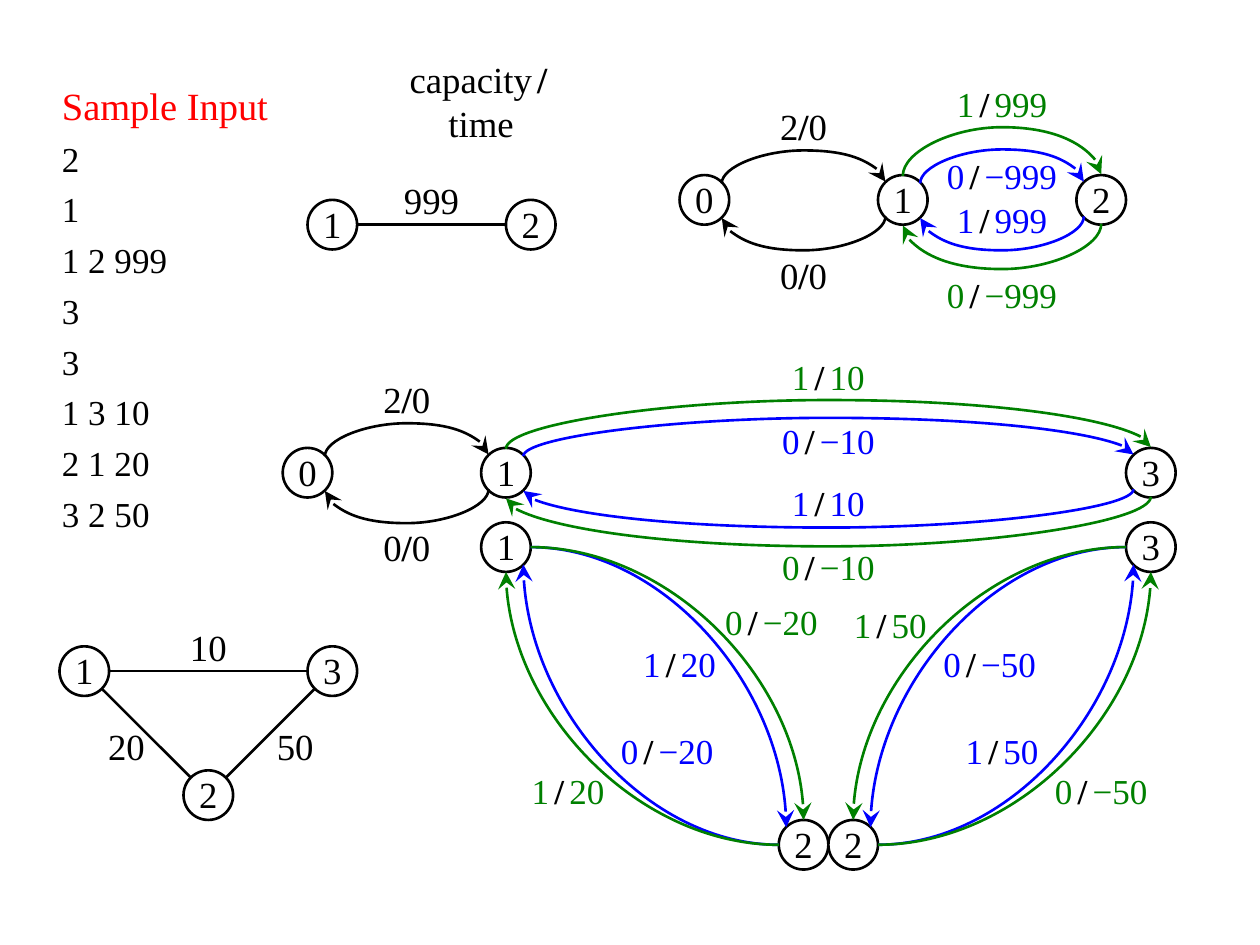
import math

from lxml import etree
from pptx import Presentation
from pptx import util as u
from pptx.dml.color import RGBColor
from pptx.enum import shapes, text
from pptx.oxml.ns import qn

THEME = {
    "font": "Times New Roman",
    "black": RGBColor(0, 0, 0),
    "white": RGBColor(255, 255, 255),
    "red": RGBColor(255, 0, 0),
    "blue": RGBColor(0, 0, 255),
    "green": RGBColor(0, 128, 0),
    "heading": 22,
    "body": 20,
    "graph": 21,
    "line": 1.5,
    "spacing": 3,
}
ORIGIN_X, ORIGIN_Y = 0.2, 0.03
RADIUS = 0.5
FLAT = u.Pt(1)

SAMPLE_INPUT = ["Sample Input", "2", "1", "1 2 999", "3", "3", "1 3 10", "2 1 20", "3 2 50"]

NODES = {
    "pair 1": (6.5, 4.5), "pair 2": (10.5, 4.5),
    "first 0": (14, 4), "first 1": (18, 4), "first 2": (22, 4),
    "second 0": (6, 9.5), "second 1": (10, 9.5), "second 3": (23, 9.5),
    "left 1": (10, 11), "left 2": (16, 17),
    "right 3": (23, 11), "right 2": (17, 17),
    "triangle 1": (1.5, 13.5), "triangle 2": (4, 16), "triangle 3": (6.5, 13.5),
}

TOP, TOP_LEFT, LEFT, BOTTOM_LEFT, BOTTOM, BOTTOM_RIGHT, RIGHT, TOP_RIGHT = range(8)

STRAIGHT_EDGES = [
    ("pair 1", RIGHT, "pair 2", LEFT),
    ("triangle 1", RIGHT, "triangle 3", LEFT),
    ("triangle 3", BOTTOM_LEFT, "triangle 2", TOP_RIGHT),
    ("triangle 1", BOTTOM_RIGHT, "triangle 2", TOP_LEFT),
]

ARC_PAIRS = [
    ("first 0", "first 1", "black", 0.67, 0.69),
    ("first 1", "first 2", "blue", 0.69, 0.69),
    ("first 1", "first 2", "green", 0.99, 0.92),
    ("second 0", "second 1", "black", 0.67, 0.69),
    ("second 1", "second 3", "blue", 0.78, 0.78),
    ("second 1", "second 3", "green", 0.99, 1.01),
]

QUARTER_EDGES = [
    ("left 1", RIGHT, "left 2", TOP_LEFT, "blue", "tailEnd"),
    ("left 1", RIGHT, "left 2", TOP, "green", "tailEnd"),
    ("left 2", LEFT, "left 1", BOTTOM_RIGHT, "blue", "tailEnd"),
    ("left 2", LEFT, "left 1", BOTTOM, "green", "tailEnd"),
    ("right 2", TOP_RIGHT, "right 3", LEFT, "blue", "headEnd"),
    ("right 2", TOP, "right 3", LEFT, "green", "headEnd"),
    ("right 3", BOTTOM_LEFT, "right 2", RIGHT, "blue", "headEnd"),
    ("right 3", BOTTOM, "right 2", RIGHT, "green", "headEnd"),
]

PLAIN_LABELS = [
    ("999", 8.5, 4), ("2/0", 16, 2.5), ("0/0", 16, 5.5), ("2/0", 8, 8), ("0/0", 8, 11),
    ("20", 2.35, 15), ("10", 4, 13), ("50", 5.75, 15),
]

COST_LABELS = [
    ("1/999", 20, 4.4, "blue"), ("0/−999", 20, 3.5, "blue"),
    ("0/−999", 20, 5.9, "green"), ("1/999", 20, 2.05, "green"),
    ("1/10", 16.5, 10.1, "blue"), ("0/−10", 16.5, 8.85, "blue"),
    ("0/−10", 16.5, 11.4, "green"), ("1/10", 16.5, 7.55, "green"),
    ("0/−20", 13.25, 15.1, "blue"), ("1/20", 13.5, 13.35, "blue"),
    ("1/20", 11.25, 15.9, "green"), ("0/−20", 15.35, 12.5, "green"),
    ("1/50", 20, 15.1, "blue"), ("0/−50", 19.75, 13.35, "blue"),
    ("0/−50", 22, 15.9, "green"), ("1/50", 17.75, 12.55, "green"),
]


def write(paragraph, words, *, size, color="black", bold=False, spacing=0):
    run = paragraph.add_run()
    run.text = words
    run.font.name = THEME["font"]
    run.font.size = u.Pt(size)
    run.font.bold = bold
    run.font.color.rgb = THEME[color]
    if spacing:
        run.font._element.set("spc", str(spacing * 100))


def set_frame(frame, left=0, top=0, bottom=0):
    frame.margin_left, frame.margin_right = u.Cm(left), u.Cm(left)
    frame.margin_top, frame.margin_bottom = u.Cm(top), u.Cm(bottom)


def add_node(slide, name):
    x, y = NODES[name]
    node = slide.shapes.add_shape(
        shapes.MSO_SHAPE.OVAL, u.Cm(x - RADIUS + ORIGIN_X), u.Cm(y - RADIUS + ORIGIN_Y),
        u.Cm(2 * RADIUS), u.Cm(2 * RADIUS))
    node.shadow.inherit = False
    node.fill.solid()
    node.fill.fore_color.rgb = THEME["white"]
    node.line.color.rgb = THEME["black"]
    node.line.width = u.Pt(THEME["line"])
    set_frame(node.text_frame, bottom=0.05)
    node.text_frame.word_wrap = False
    node.text_frame.vertical_anchor = text.MSO_ANCHOR.MIDDLE
    paragraph = node.text_frame.paragraphs[0]
    paragraph.alignment = text.PP_ALIGN.CENTER
    write(paragraph, name.split()[1], size=THEME["graph"])
    return node


def site_point(name, site):
    x, y = NODES[name]
    angle = math.radians(90 + 45 * site)
    return (u.Cm(round(x + ORIGIN_X + RADIUS * math.cos(angle), 2)),
            u.Cm(round(y + ORIGIN_Y - RADIUS * math.sin(angle), 2)))


def add_edge(slide, nodes, start, start_site, end, end_site, color="black", arrow=None,
             kind=shapes.MSO_CONNECTOR.STRAIGHT):
    edge = slide.shapes.add_connector(
        kind, *site_point(start, start_site), *site_point(end, end_site))
    edge.line.color.rgb = THEME[color]
    edge.line.width = u.Pt(THEME["line"])
    properties = edge._element.spPr
    if arrow:
        etree.SubElement(properties.find(qn("a:ln")), qn("a:" + arrow),
                         type="stealth", w="lg", len="lg")
    etree.SubElement(properties, qn("a:effectLst"))
    links = edge._element.find(".//" + qn("p:cNvCxnSpPr"))
    for tag, name, site in (("a:stCxn", start, start_site), ("a:endCxn", end, end_site)):
        etree.SubElement(links, qn(tag), id=str(nodes[name].shape_id), idx=str(site))
    return edge


def bend(edge, preset, vertical, bulge=None):
    rightward = edge.end_x > edge.begin_x
    width, height = edge.width, edge.height
    center_x, center_y = edge.left + width // 2, edge.top + height // 2
    if vertical:
        width, height = max(height, FLAT), width
    edge.left, edge.top = center_x - width // 2, center_y - height // 2
    edge.width, edge.height = width, height
    properties = edge._element.spPr
    transform = properties.find(qn("a:xfrm"))
    for flip in ("flipH", "flipV"):
        transform.attrib.pop(flip, None)
        if vertical and rightward:
            transform.set(flip, "1")
    if vertical or not rightward:
        transform.set("rot", str((90 if vertical else 180) * 60000))
    geometry = properties.find(qn("a:prstGeom"))
    geometry.set("prst", preset)
    if bulge:
        guides = geometry.find(qn("a:avLst"))
        if guides is None:
            guides = etree.SubElement(geometry, qn("a:avLst"))
        ratio = round(u.Cm(bulge) / FLAT * 100000)
        etree.SubElement(guides, qn("a:gd"), name="adj1", fmla=f"val {ratio}")


def add_label(slide, words, x, y, color="black", size=THEME["graph"], spacing=0):
    box = slide.shapes.add_textbox(
        u.Cm(x - 1.5 + ORIGIN_X), u.Cm(y - 0.5 + ORIGIN_Y), u.Cm(3), u.Cm(1))
    set_frame(box.text_frame)
    box.text_frame.word_wrap = False
    box.text_frame.vertical_anchor = text.MSO_ANCHOR.MIDDLE
    paragraph = box.text_frame.paragraphs[0]
    paragraph.alignment = text.PP_ALIGN.CENTER
    before, slash, after = words.partition("/")
    if before[:-1]:
        write(paragraph, before[:-1], size=size, color=color)
    write(paragraph, before[-1], size=size, color=color, spacing=spacing)
    if slash:
        write(paragraph, slash, size=size, bold=True, spacing=spacing)
        write(paragraph, after, size=size, color=color)


def add_sample(slide):
    box = slide.shapes.add_textbox(u.Cm(1.2), u.Cm(1.53), u.Cm(5), u.Cm(9.5))
    frame = box.text_frame
    set_frame(frame, left=0.05, top=0.13, bottom=0.13)
    frame.word_wrap = True
    for index, words in enumerate(SAMPLE_INPUT):
        paragraph = frame.add_paragraph() if index else frame.paragraphs[0]
        if index:
            paragraph.space_before = u.Pt(5)
        write(paragraph, words, size=THEME["body" if index else "heading"],
              color="black" if index else "red")


def main():
    presentation = Presentation()
    presentation.slide_width, presentation.slide_height = u.Cm(25.4), u.Cm(19.05)
    slide = presentation.slides.add_slide(presentation.slide_layouts[6])
    add_sample(slide)
    nodes = {name: add_node(slide, name) for name in NODES}
    for edge in STRAIGHT_EDGES:
        add_edge(slide, nodes, *edge)
    curve = shapes.MSO_CONNECTOR.CURVE
    for left, right, color, above, below in ARC_PAIRS:
        sites = (TOP, TOP, BOTTOM, BOTTOM) if color == "green" else (
            TOP_RIGHT, TOP_LEFT, BOTTOM_LEFT, BOTTOM_RIGHT)
        for start, end, (out, into), bulge in (
                (left, right, sites[:2], above), (right, left, sites[2:], below)):
            arc = add_edge(slide, nodes, start, out, end, into, color, "tailEnd", curve)
            bend(arc, "curvedConnector3", True, bulge)
    for edge in QUARTER_EDGES:
        quarter = add_edge(slide, nodes, *edge, curve)
        bend(quarter, "curvedConnector2", edge[1] not in (LEFT, RIGHT))
    add_label(slide, "capacity/time", 9.5, 2, spacing=THEME["spacing"])
    for label in PLAIN_LABELS:
        add_label(slide, *label)
    for label in COST_LABELS:
        add_label(slide, *label, size=THEME["body"], spacing=THEME["spacing"])
    presentation.save("out.pptx")


if __name__ == "__main__":
    main()
